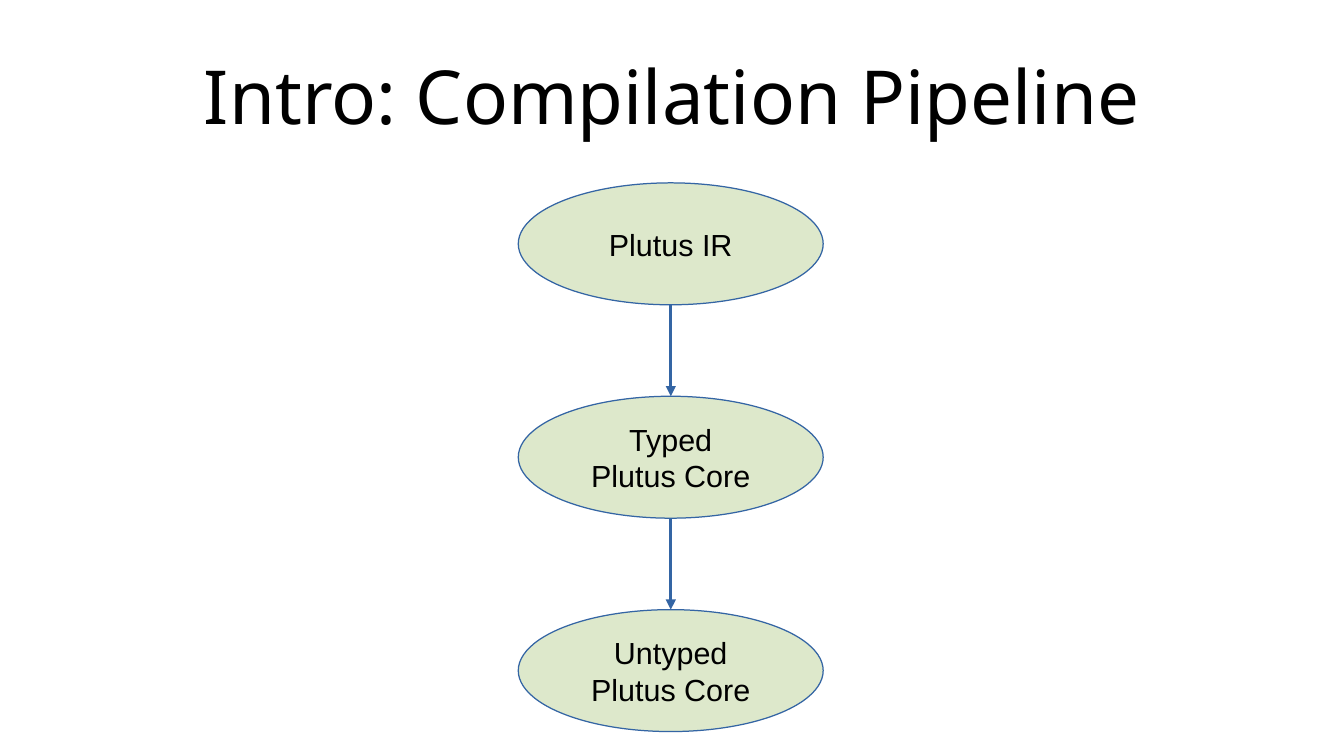
from pptx import Presentation
from pptx.dml.color import RGBColor
from pptx.enum.shapes import MSO_CONNECTOR as Link, MSO_SHAPE as Kind
from pptx.enum.text import MSO_ANCHOR as Anchor, PP_ALIGN as Align
from pptx.oxml.ns import qn
from pptx.util import Inches, Pt
from lxml.etree import SubElement

WIDTH, HEIGHT = Inches(11.02), Inches(6.2)
CELL = Inches(0.25)
BLACK = RGBColor(0x00, 0x00, 0x00)
GREEN = RGBColor(0xDD, 0xE8, 0xCB)
BLUE = RGBColor(0x34, 0x65, 0xA4)
HEAD = {"name": "Noto Sans", "size": Pt(44), "bold": False}
LABEL = {"name": "Arial", "size": Pt(18)}
STAGES = ["Plutus IR", "Typed\nPlutus Core", "Untyped\nPlutus Core"]


def apply(item, values):
    """Set each attribute of item from a dict."""
    for name, value in values.items():
        setattr(item, name, value)


def write(shape, text, style, pad):
    """Put centred black text in a shape with the given side and top insets."""
    side, top = pad
    frame = shape.text_frame
    frame.text = text
    apply(frame, {"margin_left": side, "margin_right": side,
                  "margin_top": top, "margin_bottom": top,
                  "vertical_anchor": Anchor.MIDDLE, "word_wrap": True})
    for para in frame.paragraphs:
        para.alignment = Align.CENTER
        apply(para.font, style)
        para.font.color.rgb = BLACK


def edge(line):
    """Give a line the blue hairline look."""
    line.color.rgb = BLUE
    line.width = 0


def title(slide, text, box):
    """Place the title in its box."""
    left, top, width, height = box
    shape = slide.shapes.title
    apply(shape, {"left": left, "top": top, "width": width, "height": height})
    write(shape, text, HEAD, (0, 0))


def stage(slide, text, box):
    """Draw one stage of the pipeline as an ellipse."""
    shape = slide.shapes.add_shape(Kind.OVAL, *box)
    shape.shadow.inherit = False
    shape.fill.solid()
    shape.fill.fore_color.rgb = GREEN
    edge(shape.line)
    write(shape, text, LABEL, (Inches(0.1), Inches(0.05)))


def arrow(slide, x, top, end):
    """Draw an arrow straight down."""
    link = slide.shapes.add_connector(Link.STRAIGHT, x, top, x, end)
    edge(link.line)
    SubElement(link.line._get_or_add_ln(), qn("a:tailEnd"), type="triangle")
    SubElement(link._element.spPr, qn("a:effectLst"))


def chain(slide, names, box, rows=4, gap=3):
    """Stack the stages down the box and join them with arrows."""
    left, top, width = box
    tops = [top + i * (rows + gap) * CELL for i in range(len(names))]
    for name, y in zip(names, tops):
        stage(slide, name, (left, y, width, rows * CELL))
    for y in tops[1:]:
        arrow(slide, left + width // 2, y - gap * CELL, y)


def main():
    """Build and save the slide."""
    deck = Presentation()
    apply(deck, {"slide_width": WIDTH, "slide_height": HEIGHT})
    slide = deck.slides.add_slide(deck.slide_layouts[5])
    box = (0.05 * WIDTH, 0.04 * HEIGHT, 0.9 * WIDTH, 0.17 * HEIGHT)
    title(slide, "Intro: Compilation Pipeline", [round(n) for n in box])
    chain(slide, STAGES, (17 * CELL, 6 * CELL, 10 * CELL))
    deck.save("out.pptx")


if __name__ == "__main__":
    main()
